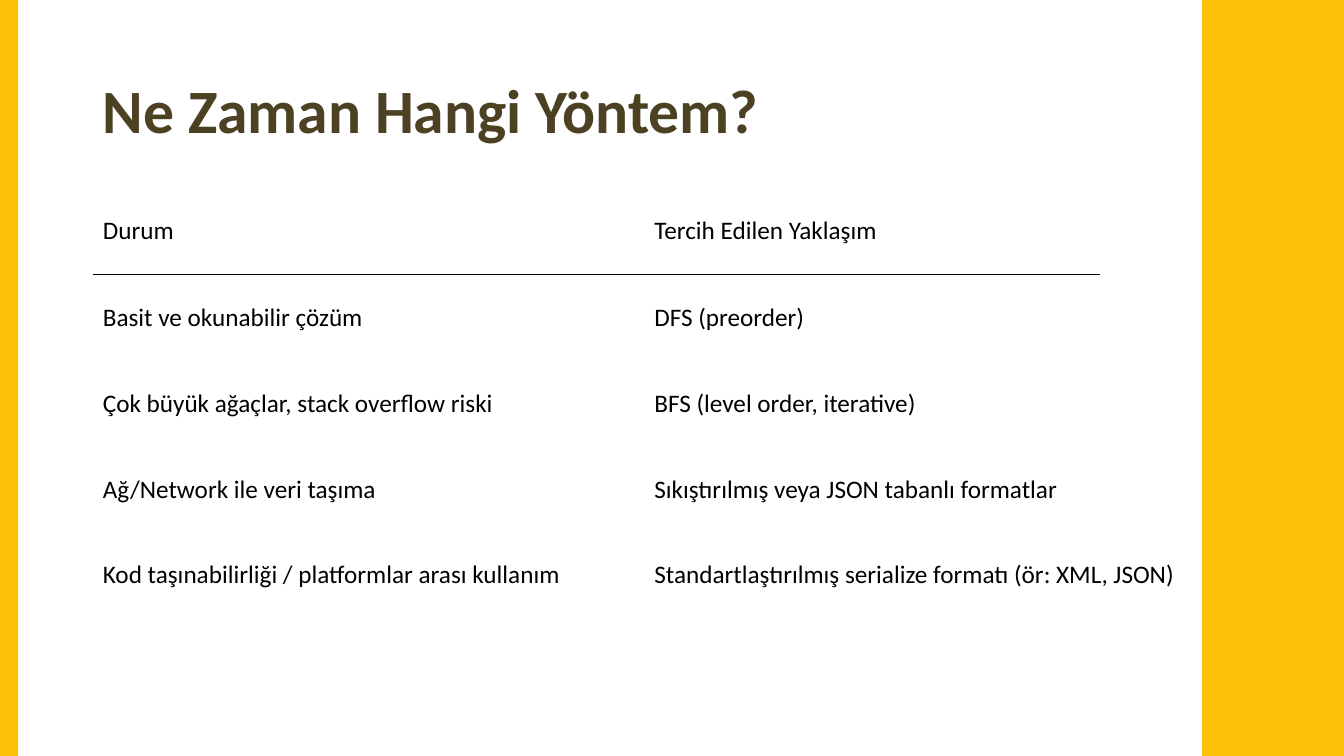
from lxml import etree
from pptx import Presentation
from pptx import util as u
from pptx.dml.color import RGBColor
from pptx.enum import shapes, text
from pptx.oxml import ns

AMBER = RGBColor(0xFF, 0xC1, 0x07)
BROWN = RGBColor(0x4C, 0x41, 0x23)
BLACK = RGBColor(0, 0, 0)

TITLE_FONT = {"name": "Calibri", "size": u.Pt(44), "bold": True}
CELL_FONT = {"name": "Calibri", "size": u.Pt(18), "bold": False}

METHODS = [
    ("Durum", "Tercih Edilen Yaklaşım"),
    ("Basit ve okunabilir çözüm", "DFS (preorder)"),
    ("Çok büyük ağaçlar, stack overflow riski", "BFS (level order, iterative)"),
    ("Ağ/Network ile veri taşıma", "Sıkıştırılmış veya JSON tabanlı formatlar"),
    ("Kod taşınabilirliği / platformlar arası kullanım",
     "Standartlaştırılmış serialize formatı (ör: XML, JSON)"),
]


def inches(*lengths):
    return [u.Inches(length) for length in lengths]


def write(paragraph, words, font, color):
    run = paragraph.add_run()
    run.text = words
    for name, value in font.items():
        setattr(run.font, name, value)
    run.font.color.rgb = color


def add_band(slide, left, top, width, height):
    band = slide.shapes.add_shape(shapes.MSO_SHAPE.RECTANGLE,
                                  *inches(left, top, width, height))
    band.shadow.inherit = False
    band.fill.solid()
    band.fill.fore_color.rgb = AMBER
    band.line.fill.background()


def add_title(slide, left, top, width, height):
    frame = slide.shapes.add_textbox(*inches(left, top, width, height)).text_frame
    frame.word_wrap = True
    frame.vertical_anchor = text.MSO_ANCHOR.MIDDLE
    heading = frame.paragraphs[0]
    heading.line_spacing = 0.9
    write(heading, "Ne Zaman Hangi Yöntem?", TITLE_FONT, BROWN)


def add_methods(slide, left, top, width, header_height, row_height):
    # Plain table without fills or banding
    height = header_height + row_height * (len(METHODS) - 1)
    methods = slide.shapes.add_table(len(METHODS), 2,
                                     *inches(left, top, width, height)).table
    methods.first_row = methods.horz_banding = False
    for column in methods.columns:
        column.width = u.Inches(width / 2)
    for index, pair in enumerate(METHODS):
        methods.rows[index].height = u.Inches(row_height if index else header_height)
        for cell, words in zip(methods.rows[index].cells, pair):
            cell.fill.background()
            cell.vertical_anchor = text.MSO_ANCHOR.MIDDLE
            write(cell.text_frame.paragraphs[0], words, CELL_FONT, BLACK)


def add_header_rule(slide, left, top, width):
    rule = slide.shapes.add_connector(shapes.MSO_CONNECTOR.STRAIGHT,
                                      *inches(left, top, left + width, top))
    rule.line.color.rgb = BLACK
    rule.line.width = u.Pt(0.5)
    etree.SubElement(rule._element.spPr, ns.qn("a:effectLst"))


def main():
    deck = Presentation()
    deck.slide_width, deck.slide_height = inches(13.33, 7.5)
    slide = deck.slides.add_slide(deck.slide_layouts[6])

    # Right side band, title and table
    add_band(slide, 11.92, 0, 1.41, 7.5)
    add_title(slide, 0.92, 0.4, 11.5, 1.45)
    add_methods(slide, 0.92, 1.85, 10.94, 0.88, 0.85)

    # Left edge band and line under the table header
    add_band(slide, 0, 0, 0.18, 7.5)
    add_header_rule(slide, 0.92, 2.72, 9.99)

    deck.save("out.pptx")


if __name__ == "__main__":
    main()
